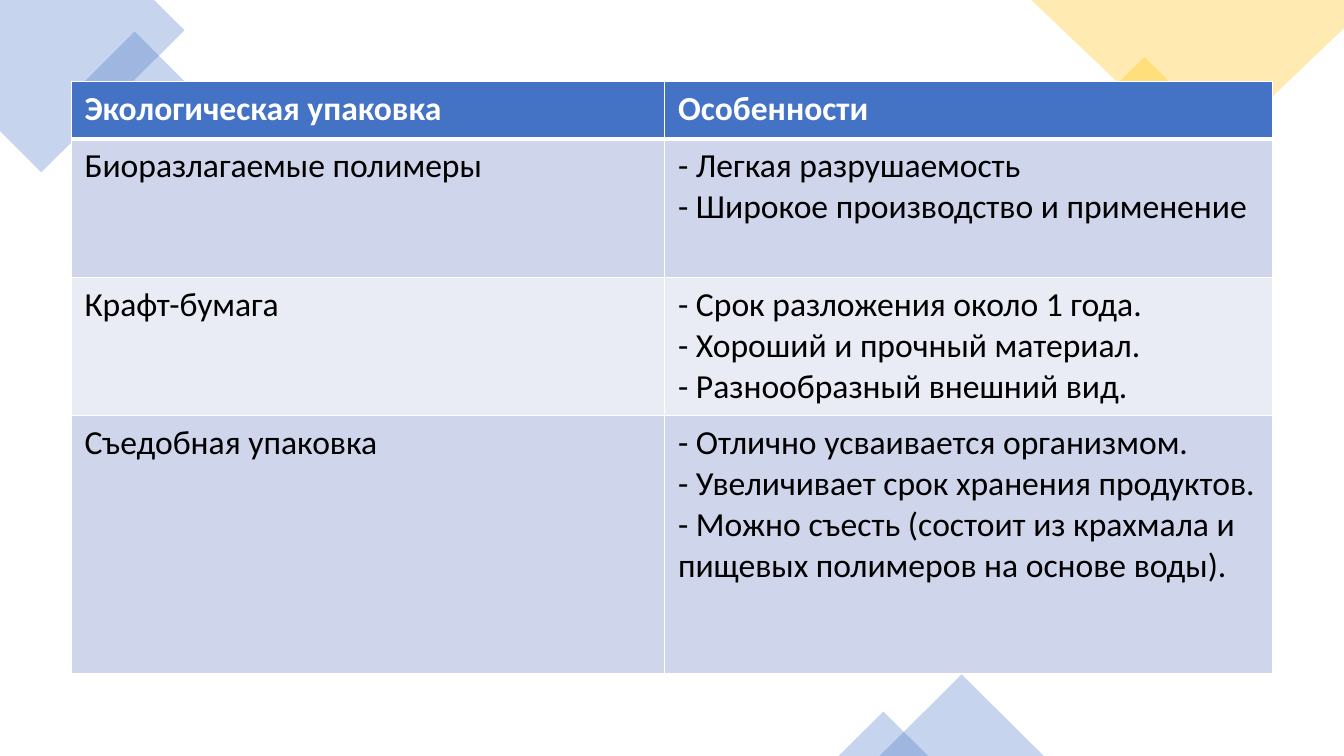
"""Build a slide with a table of ecological packaging and its features."""
import pptx
import pptx.util
import pptx.dml.color
import pptx.enum.shapes
import pptx.oxml
import pptx.oxml.ns
import lxml.etree
from dataclasses import dataclass

Pt = pptx.util.Pt
RGBColor = pptx.dml.color.RGBColor
MSO_SHAPE = pptx.enum.shapes.MSO_SHAPE
qn = pptx.oxml.ns.qn


@dataclass
class Theme:
    blue: str = "4472C4"
    gold: str = "FFC000"
    white: str = "FFFFFF"
    black: str = "000000"
    bands: tuple = ("CFD5EA", "E9EBF5")
    font: str = "Calibri"
    size: int = 24
    opacity: int = 30


theme = Theme()


def style_decoration(shape, color):
    shape.shadow.inherit = False
    shape.line.fill.background()
    shape.fill.solid()
    shape.fill.fore_color.rgb = RGBColor.from_string(color)
    color_element = shape.fill._xPr.find(qn("a:solidFill"))[0]
    lxml.etree.SubElement(color_element, qn("a:alpha"), val=str(theme.opacity * 1000))


def add_border(cell, side, width):
    properties = cell._tc.get_or_add_tcPr()
    line = lxml.etree.SubElement(properties, qn(f"a:ln{side}"), w=str(Pt(width)))
    fill = lxml.etree.SubElement(line, qn("a:solidFill"))
    lxml.etree.SubElement(fill, qn("a:srgbClr"), val=theme.white)


presentation = pptx.Presentation()
presentation.slide_width = Pt(960)
presentation.slide_height = Pt(540)
slide = presentation.slides.add_slide(presentation.slide_layouts[6])

corners = [
    (theme.blue, [(0, 0), (110.2, 0), (131.8, 21.6), (29.5, 123.1), (0, 93.6)]),
    (theme.gold, [(736.6, 0), (960, 0), (960, 20.2), (859, 116.6)]),
]
for color, points in corners:
    outline = [(Pt(x), Pt(y)) for x, y in points]
    builder = slide.shapes.build_freeform(*outline[0])
    builder.add_line_segments(outline[1:], close=True)
    style_decoration(builder.convert_to_shape(), color)

decorations = [
    (MSO_SHAPE.RECTANGLE, theme.blue, 70.6, 33.1, 51.1, 51.1, 315),
    (MSO_SHAPE.RECTANGLE, theme.gold, 790.6, 51.8, 54, 54, 315),
    (MSO_SHAPE.ISOSCELES_TRIANGLE, theme.blue, 628.2, 481.7, 117.4, 58.3, 0),
    (MSO_SHAPE.ISOSCELES_TRIANGLE, theme.blue, 599, 508.3, 64, 31.7, 0),
]
for kind, color, left, top, width, height, rotation in decorations:
    shape = slide.shapes.add_shape(kind, Pt(left), Pt(top), Pt(width), Pt(height))
    shape.rotation = rotation
    style_decoration(shape, color)

rows = [
    (["Экологическая упаковка"], ["Особенности"]),
    (["Биоразлагаемые полимеры"],
     ["- Легкая разрушаемость", "- Широкое производство и применение"]),
    (["Крафт-бумага"],
     ["- Срок разложения около 1 года.", "- Хороший и прочный материал.",
      "- Разнообразный внешний вид."]),
    (["Съедобная упаковка"],
     ["- Отлично усваивается организмом.", "- Увеличивает срок хранения продуктов.",
      "- Можно съесть (состоит из крахмала и пищевых полимеров на основе воды)."]),
]
column_widths = [424, 434.4]
row_heights = [41.2, 98.8, 98.8, 184.4]
table = slide.shapes.add_table(
    len(rows), len(column_widths), Pt(50.8), Pt(58.2),
    Pt(sum(column_widths)), Pt(sum(row_heights))).table
table.horz_banding = False
table.first_row = False
for column, width in zip(table.columns, column_widths):
    column.width = Pt(width)

for row_index, (row, height) in enumerate(zip(rows, row_heights)):
    table.rows[row_index].height = Pt(height)
    header = row_index == 0
    background = theme.blue if header else theme.bands[(row_index - 1) % 2]
    border_widths = {"L": 1, "R": 1, "T": 3 if row_index == 1 else 1, "B": 3 if header else 1}
    for column_index, lines in enumerate(row):
        cell = table.cell(row_index, column_index)
        cell.margin_left = cell.margin_right = Pt(9.6)
        cell.margin_top = cell.margin_bottom = Pt(4.8)
        for side, width in border_widths.items():
            add_border(cell, side, width)
        cell.fill.solid()
        cell.fill.fore_color.rgb = RGBColor.from_string(background)
        paragraph = cell.text_frame.paragraphs[0]
        for line_index, line in enumerate(lines):
            if line_index:
                paragraph.add_line_break()
            run = paragraph.add_run()
            run.text = line
            run.font.name = theme.font
            run.font.size = Pt(theme.size)
            run.font.bold = header
            run.font.color.rgb = RGBColor.from_string(theme.white if header else theme.black)

presentation.save("out.pptx")
